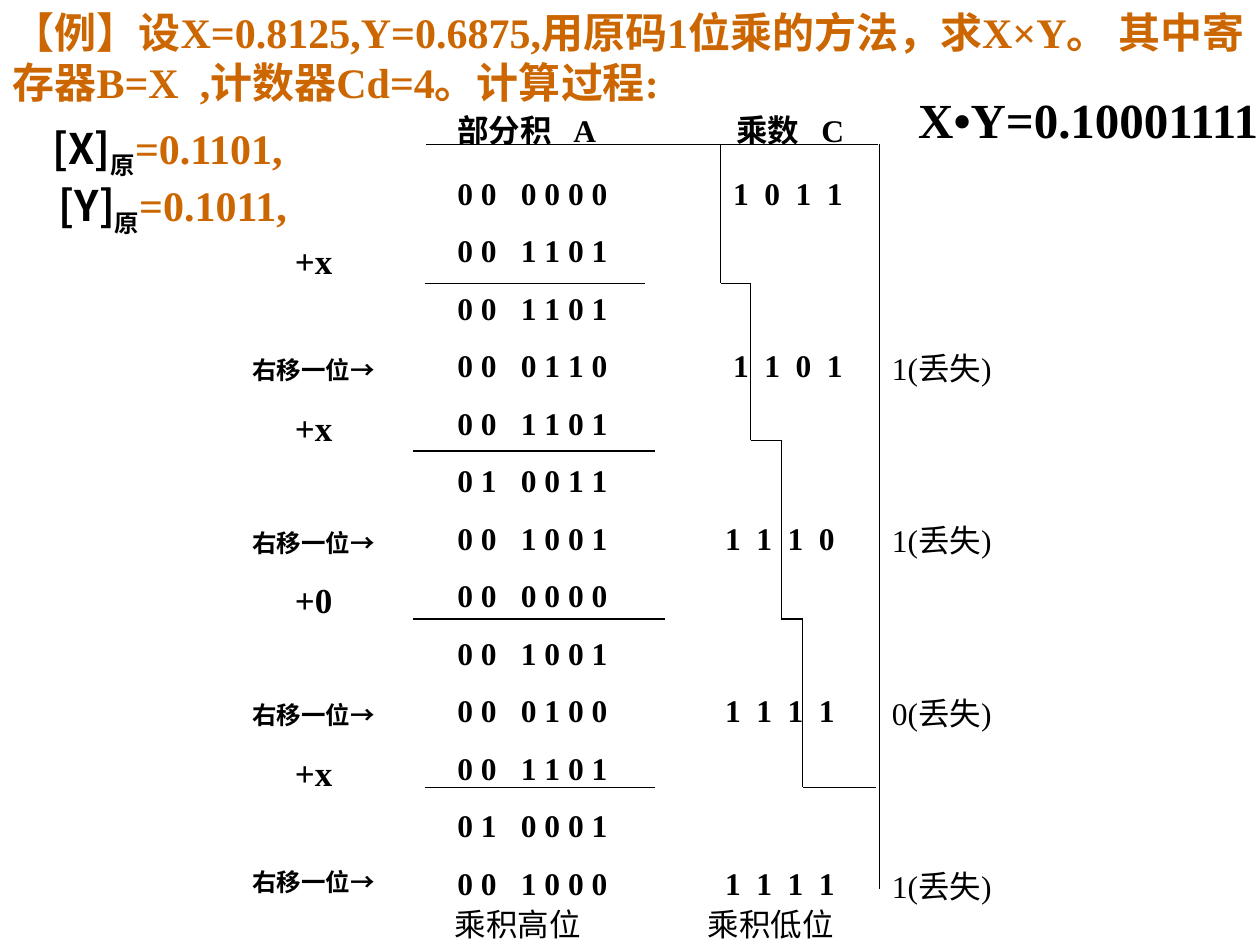
from itertools import pairwise

from lxml import etree
from pptx import Presentation
from pptx import util as u
from pptx.dml.color import RGBColor
from pptx.enum import shapes, text
from pptx.oxml.ns import qn

LATIN, CJK = "Times New Roman", "Noto Sans CJK SC"
BLACK, ORANGE = "000000", "CC6600"
ROW_GAP = 11.25  # points between the rows of the working


def color(value):
    return RGBColor.from_string(value)


def style_font(font, size, value=BLACK, bold=True, name=LATIN):
    font.size, font.bold, font.name = u.Pt(size), bold, name
    font.color.rgb = color(value)


def set_tabs(paragraph, stops):
    tab_list = etree.SubElement(paragraph._p.get_or_add_pPr(), qn("a:tabLst"))
    for stop in stops:
        etree.SubElement(tab_list, qn("a:tab"), pos=str(u.Cm(stop)), algn="l")


def add_text_box(slide, box, wrap=True):
    frame = slide.shapes.add_textbox(*map(u.Cm, box)).text_frame
    frame.word_wrap = wrap
    return frame


def add_paragraph(frame, content, size, before=0, tabs=(), bold=True):
    first = frame.paragraphs[0]
    is_first = not first.runs
    paragraph = first if is_first else frame.add_paragraph()
    paragraph.add_run().text = content
    if tabs:
        set_tabs(paragraph, tabs)
    paragraph.space_before = u.Pt(0 if is_first else before)
    style_font(paragraph.font, size, bold=bold)
    return paragraph


def add_line(slide, start, end):
    line = slide.shapes.add_connector(
        shapes.MSO_CONNECTOR.STRAIGHT, *map(u.Cm, (*start, *end)))
    line.line.color.rgb = color(BLACK)
    line.line.width = u.Pt(0.75)
    etree.SubElement(line._element.spPr, qn("a:effectLst"))


def add_title(slide, box):
    title = slide.shapes.title
    title.left, title.top, title.width, title.height = map(u.Cm, box)
    frame = title.text_frame
    frame.text = ("【例】设X=0.8125,Y=0.6875,用原码1位乘的方法，求X×Y。 "
                  "其中寄存器B=X  ,计数器Cd=4。计算过程:")
    frame.vertical_anchor = text.MSO_ANCHOR.TOP
    frame.auto_size = text.MSO_AUTO_SIZE.NONE
    paragraph = frame.paragraphs[0]
    paragraph.alignment = text.PP_ALIGN.LEFT
    style_font(paragraph.font, 24, ORANGE)


def add_operands(slide, box):
    frame = add_text_box(slide, box, wrap=False)
    for index, (name, value) in enumerate((("[X]", "=0.1101, "), ("[Y]", "=0.1011,"))):
        paragraph = frame.add_paragraph() if index else frame.paragraphs[0]
        paragraph.alignment = text.PP_ALIGN.CENTER
        for content, font_name, value_color, baseline in (
                (name, CJK, BLACK, 0), ("原", CJK, BLACK, -25000),
                (value, LATIN, ORANGE, 0)):
            run = paragraph.add_run()
            run.text = content
            style_font(run.font, 24, value_color, name=font_name)
            if baseline:
                run.font._element.set("baseline", str(baseline))


def add_working(slide, box):
    left, top, width, height = box

    # Column heads and foot
    head = add_text_box(slide, (left, top - 1.27, width, 1.78))
    add_paragraph(head, "部分积\tA\t乘数\tC", 18, tabs=(2.34, 5.62, 7.34))
    foot = add_text_box(slide, (left - 0.05, top + 14.73, width, 1.02))
    add_paragraph(foot, "乘积高位\t乘积低位", 18, tabs=(5.1,), bold=False)

    # Partial products, with the multiplier register after each shift
    rows = (("00 0000", "1011"), ("00 1101", ""), ("00 1101", ""),
            ("00 0110", "1101"), ("00 1101", ""), ("01 0011", ""),
            ("00 1001", "1110"), ("00 0000", ""), ("00 1001", ""),
            ("00 0100", "1111"), ("00 1101", ""), ("01 0001", ""),
            ("00 1000", "1111"))
    frame = add_text_box(slide, box)
    for index, (product, multiplier) in enumerate(rows):
        cells = [" ".join(group) for group in product.split()] + list(multiplier)
        start = 5.56 if index < 4 else 5.4
        stops = [1.28] + [start + 0.63 * digit for digit in range(4)]
        add_paragraph(frame, "\t".join(cells), 18, ROW_GAP, stops)

    # Rules under each addition
    for x1, x2, y in ((-0.41, 4.04, 2.33), (-0.64, 4.24, 5.71),
                      (-0.64, 4.44, 9.1), (-0.41, 4.24, 12.49)):
        add_line(slide, (left + x1, top + y), (left + x2, top + y))

    # Frame of the multiplier and the staircase through it
    add_line(slide, (left - 0.38, top - 0.47), (left + 8.73, top - 0.47))
    add_line(slide, (left + 8.76, top - 0.47), (left + 8.76, top + 14.55))
    steps_x = (5.56, 6.16, 6.78, 7.21, 8.68)
    steps_y = (-0.47, 2.33, 5.5, 9.1, 12.49)
    corners = [(steps_x[0], steps_y[0])]
    for x1, x2, y in zip(steps_x, steps_x[1:], steps_y[1:]):
        corners += [(x1, y), (x2, y)]
    for start, end in pairwise((left + x, top + y) for x, y in corners):
        add_line(slide, start, end)


def add_operations(slide, box):
    frame = add_text_box(slide, box)
    for addend, gap in (("+x", 42.3), ("+x", 45.1), ("+0", 45.1), ("+x", 42.3)):
        for content, size, before in ((addend, 20, 12.5), ("右移一位→", 14, gap)):
            paragraph = add_paragraph(frame, content, size, before)
            paragraph.alignment = text.PP_ALIGN.CENTER


def add_lost_bits(slide, box):
    frame = add_text_box(slide, box)
    for bit in "1101":
        add_paragraph(frame, f"{bit}(丢失)", 18, 77, bold=False)


def add_result(slide, box):
    add_paragraph(add_text_box(slide, box), "X•Y=0.10001111", 28)


def main():
    presentation = Presentation()
    presentation.slide_width, presentation.slide_height = u.Cm(25.4), u.Cm(19.05)
    slide = presentation.slides.add_slide(presentation.slide_layouts[5])
    add_title(slide, (0, 0, 25.4, 2.29))
    add_working(slide, (8.97, 3.38, 12.9, 14.94))
    add_operations(slide, (4.32, 4.7, 4.01, 13.46))
    add_lost_bits(slide, (17.73, 6.91, 5.08, 11.46))
    add_result(slide, (18.26, 1.68, 9.07, 1.45))
    add_operands(slide, (0.6, 2.34, 5.77, 2.57))
    presentation.save("out.pptx")


if __name__ == "__main__":
    main()
